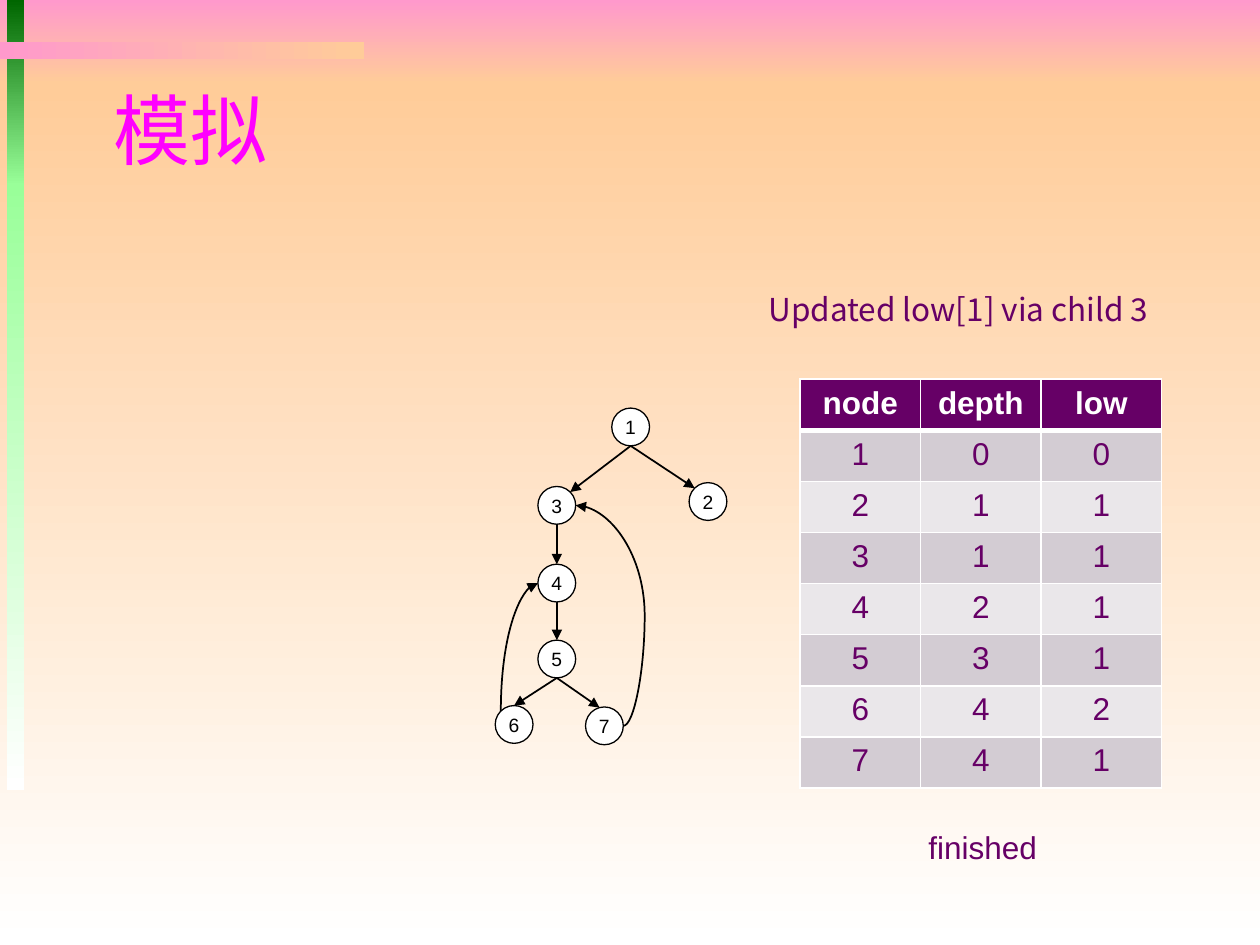
from dataclasses import dataclass
from math import cos, radians, sin

from lxml.etree import SubElement
from pptx import Presentation
from pptx.dml.color import RGBColor
from pptx.enum.shapes import MSO_CONNECTOR, MSO_SHAPE
from pptx.enum.text import MSO_ANCHOR, PP_ALIGN
from pptx.oxml.ns import qn
from pptx.util import Pt


@dataclass(frozen=True)
class Theme:
    pink: str = "FF99CC"
    peach: str = "FFCC99"
    dark_green: str = "006600"
    light_green: str = "99FF99"
    white: str = "FFFFFF"
    black: str = "000000"
    title: str = "FF00FF"
    purple: str = "660066"
    bands: tuple = ("D3CCD3", "EAE7EA")
    title_font: str = "Roboto Condensed"
    body_font: str = "Arial"
    note_font: str = "Noto Sans CJK SC"
    title_size: float = 44
    body_size: float = 18
    node_size: float = 11


def rgb(value):
    return RGBColor.from_string(value)


def write_text(frame, text, *, font, size, color, bold=False,
               align=PP_ALIGN.LEFT, anchor=None):
    """Put one formatted paragraph into a text frame."""
    para = frame.paragraphs[0]
    para.alignment = align
    span = para.add_run()
    span.text = text
    span.font.name, span.font.size, span.font.bold = font, Pt(size), bold
    span.font.color.rgb = rgb(color)
    if anchor is not None:
        frame.vertical_anchor = anchor


class SlideBuilder:
    def __init__(self, page, theme):
        self.page, self.theme = page, theme

    def gradient_bar(self, left, top, width, height, first, last, angle=270):
        bar = self.page.shapes.add_shape(
            MSO_SHAPE.RECTANGLE, Pt(left), Pt(top), Pt(width), Pt(height))
        bar.shadow.inherit = False
        bar.line.fill.background()
        bar.fill.gradient()
        bar.fill.gradient_angle = angle
        for stop, color in zip(bar.fill.gradient_stops, (first, last)):
            stop.color.rgb = rgb(color)

    def title(self, text, left, top, width, height):
        box = self.page.shapes.title
        box.left, box.top, box.width, box.height = map(Pt, (left, top, width, height))
        write_text(box.text_frame, text, font=self.theme.title_font,
                   size=self.theme.title_size, color=self.theme.title,
                   anchor=MSO_ANCHOR.MIDDLE)
        # Bring the title in front of the background
        self.page.shapes.element.append(box.element)

    def note(self, text, left, top, width, height, font, align=PP_ALIGN.LEFT):
        box = self.page.shapes.add_textbox(Pt(left), Pt(top), Pt(width), Pt(height))
        box.text_frame.word_wrap = True
        write_text(box.text_frame, text, font=font, size=self.theme.body_size,
                   color=self.theme.purple, align=align)

    def node(self, label, center, radius):
        x, y = center
        circle = self.page.shapes.add_shape(
            MSO_SHAPE.OVAL, Pt(x - radius), Pt(y - radius), Pt(2 * radius), Pt(2 * radius))
        circle.shadow.inherit = False
        circle.fill.solid()
        circle.fill.fore_color.rgb = rgb(self.theme.white)
        circle.line.color.rgb = rgb(self.theme.black)
        circle.line.width = Pt(0.75)
        frame = circle.text_frame
        frame.margin_left = frame.margin_right = frame.margin_top = frame.margin_bottom = 0
        frame.word_wrap = False
        write_text(frame, label, font=self.theme.body_font, size=self.theme.node_size,
                   color=self.theme.black, align=PP_ALIGN.CENTER, anchor=MSO_ANCHOR.MIDDLE)

    def arrow(self, start, end, kind=MSO_CONNECTOR.STRAIGHT):
        line = self.page.shapes.add_connector(kind, *map(Pt, (*start, *end)))
        line.line.color.rgb = rgb(self.theme.black)
        line.line.width = Pt(1)
        SubElement(line.line._get_or_add_ln(), qn("a:tailEnd"), type="triangle")
        SubElement(line.element.spPr, qn("a:effectLst"))
        return line

    def bulging_arrow(self, start, end, bulge):
        """Curve that leaves and arrives sideways, bending past its start."""
        line = self.arrow(start, end, MSO_CONNECTOR.CURVE)
        guides = line.element.spPr.find(qn("a:prstGeom")).get_or_add_avLst()
        SubElement(guides, qn("a:gd"), name="adj1", fmla=f"val {round(bulge * 100000)}")

    def quarter_arrow(self, start, end):
        """Curve that leaves upwards and arrives from the left: a quarter turn."""
        mid_x, mid_y = (start[0] + end[0]) / 2, (start[1] + end[1]) / 2
        half_width, half_height = (start[1] - end[1]) / 2, (end[0] - start[0]) / 2
        line = self.arrow((mid_x + half_width, mid_y + half_height),
                          (mid_x - half_width, mid_y - half_height), MSO_CONNECTOR.CURVE)
        line.element.spPr.find(qn("a:prstGeom")).set("prst", "curvedConnector2")
        line.element.spPr.find(qn("a:xfrm")).set("rot", "5400000")

    def borders(self, cell, bottom):
        properties = cell._tc.get_or_add_tcPr()
        for side, width in (("L", 1), ("R", 1), ("T", 1), ("B", bottom)):
            edge = SubElement(properties, qn(f"a:ln{side}"), w=str(Pt(width)))
            fill = SubElement(edge, qn("a:solidFill"))
            SubElement(fill, qn("a:srgbClr"), val=self.theme.white)

    def table(self, rows, left, top, width, height):
        theme = self.theme
        grid = self.page.shapes.add_table(
            len(rows), len(rows[0]), Pt(left), Pt(top), Pt(width), Pt(height)).table
        for r, row in enumerate(rows):
            header = r == 0
            for c, value in enumerate(row):
                cell = grid.cell(r, c)
                self.borders(cell, bottom=3 if header else 1)
                cell.fill.solid()
                cell.fill.fore_color.rgb = rgb(
                    theme.purple if header else theme.bands[(r - 1) % 2])
                write_text(cell.text_frame, str(value), font=theme.body_font,
                           size=theme.body_size, bold=header, align=PP_ALIGN.CENTER,
                           color=theme.white if header else theme.purple)


RADIUS = 10.8
TRUNK = 318.2
NODES = {1: (360.4, 244), 2: (404.6, 286.6), 3: (TRUNK, 288.8), 4: (TRUNK, 333.2),
         5: (TRUNK, 376.6), 6: (293.8, 414), 7: (345.4, 414.8)}
# Parent, child and the angle on the child's rim where the arrow lands
TREE_EDGES = [(1, 2, 135), (1, 3, 45), (3, 4, 90), (4, 5, 90), (5, 6, 90), (5, 7, 105)]
ROWS = [("node", "depth", "low"), (1, 0, 0), (2, 1, 1), (3, 1, 1),
        (4, 2, 1), (5, 3, 1), (6, 4, 2), (7, 4, 1)]


def rim(number, degrees):
    x, y = NODES[number]
    return x + RADIUS * cos(radians(degrees)), y - RADIUS * sin(radians(degrees))


def main():
    deck = Presentation()
    deck.slide_width, deck.slide_height = Pt(720), Pt(540)
    theme = Theme()
    slide = SlideBuilder(deck.slides.add_slide(deck.slide_layouts[5]), theme)

    # Background and decorative bars
    slide.gradient_bar(0, 0, 720, 48, theme.pink, theme.peach)
    slide.gradient_bar(0, 48, 720, 492, theme.peach, theme.white)
    slide.gradient_bar(4, 0, 10, 106, theme.dark_green, theme.light_green)
    slide.gradient_bar(4, 105, 10, 346.5, theme.light_green, theme.white)
    slide.gradient_bar(0, 24, 208, 10, theme.pink, theme.peach, angle=0)

    slide.title("模拟", 57.6, 41, 612, 64.8)

    # Search tree
    for number, center in NODES.items():
        slide.node(str(number), center, RADIUS)
    for parent, child, landing in TREE_EDGES:
        slide.arrow(rim(parent, 270), rim(child, landing))

    # Back edges
    slide.bulging_arrow(rim(7, 0), rim(3, 0), bulge=-0.45)
    slide.quarter_arrow(rim(6, 135), rim(4, 180))

    # Table of values and its notes
    slide.table(ROWS, 457.2, 216.7, 206.6, 233.6)
    slide.note("Updated low[1] via child 3", 432, 162, 360, 29,
               theme.note_font, align=PP_ALIGN.JUSTIFY)
    slide.note("finished", 523.4, 469.4, 161.3, 29, theme.body_font)

    deck.save("out.pptx")


if __name__ == "__main__":
    main()
